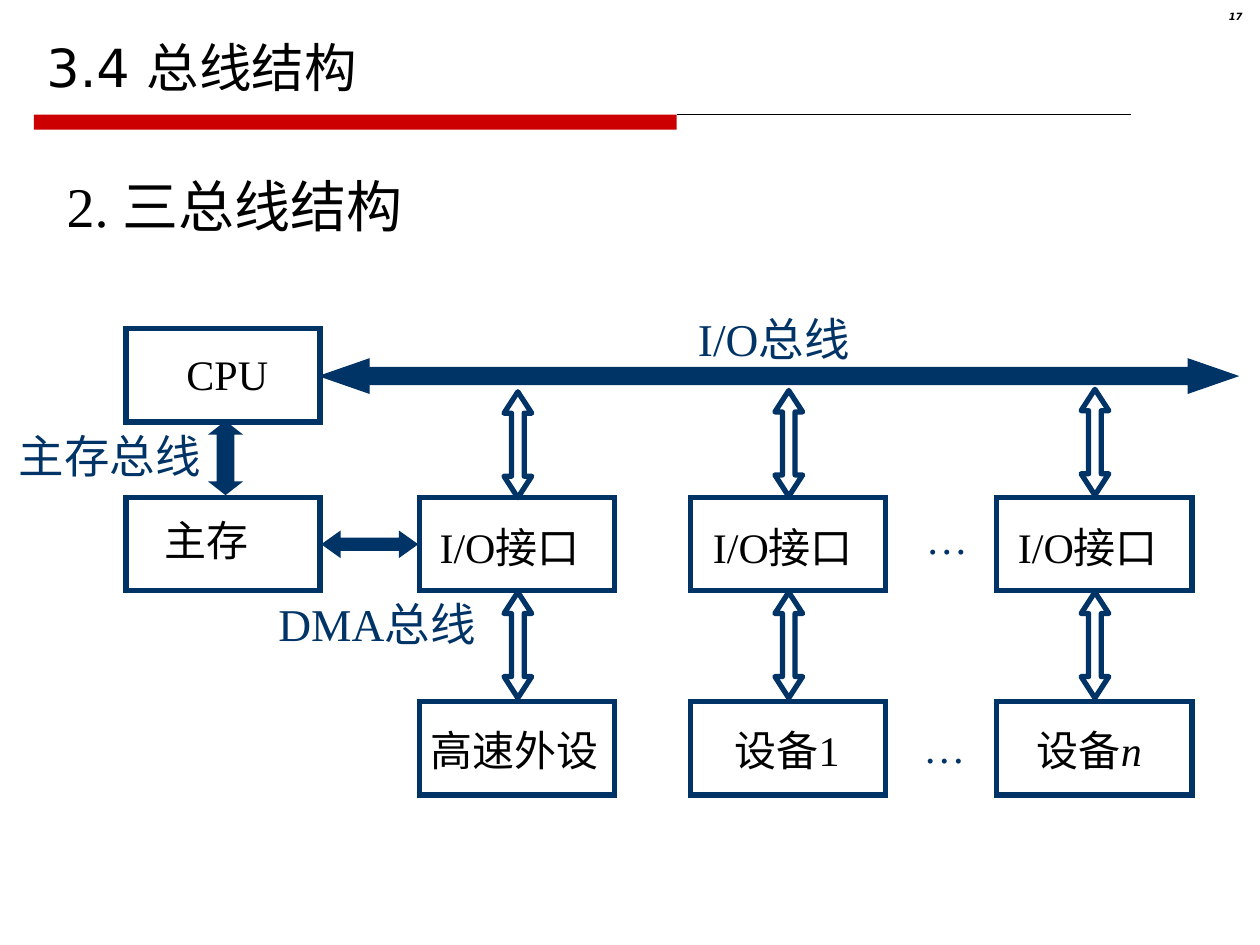
from pptx import Presentation
from pptx.dml.color import RGBColor
from pptx.enum.shapes import MSO_CONNECTOR, MSO_SHAPE as Shape
from pptx.enum.text import MSO_ANCHOR as Anchor, PP_ALIGN as Align
from pptx.oxml.ns import qn
from pptx.util import Inches, Pt
from lxml import etree

NAVY = RGBColor(0x00, 0x33, 0x66)
RED = RGBColor(0xCC, 0x00, 0x00)
BLACK = RGBColor(0x00, 0x00, 0x00)
SERIF = "Times New Roman"
SANS = "DejaVu Sans"
CABIN = "Cabin"

deck = Presentation()
deck.slide_width = Inches(10)
deck.slide_height = Inches(7.5)
page = deck.slides.add_slide(deck.slide_layouts[6])


def add_text(left, top, width, height, spans, size, color=BLACK, inset=True, wrap=True):
    box = page.shapes.add_textbox(Inches(left), Inches(top), Inches(width), Inches(height))
    frame = box.text_frame
    frame.word_wrap = wrap
    frame.margin_left = frame.margin_right = Inches(0.1 if inset else 0)
    frame.margin_top = frame.margin_bottom = Inches(0.05 if inset else 0)
    for text, font in spans:
        span = frame.paragraphs[0].add_run()
        span.text = text
        span.font.size = Pt(size)
        span.font.name = font
        span.font.color.rgb = color
    return frame


def add_block(kind, left, top, width, height, fill=None, line=None, weight=3, adjust=()):
    block = page.shapes.add_shape(kind, Inches(left), Inches(top), Inches(width), Inches(height))
    block.shadow.inherit = False
    if fill is None:
        block.fill.background()
    else:
        block.fill.solid()
        block.fill.fore_color.rgb = fill
    if line is None:
        block.line.fill.background()
    else:
        block.line.color.rgb = line
        block.line.width = Pt(weight)
        etree.SubElement(block._element.spPr.find(qn("a:ln")), qn("a:miter"), lim="800000")
    for index, value in enumerate(adjust):
        block.adjustments[index] = value


add_block(Shape.RECTANGLE, 0.27, 0.91, 5.1, 0.12, fill=RED)
rule = page.shapes.add_connector(
    MSO_CONNECTOR.STRAIGHT, Inches(5.37), Inches(0.91), Inches(8.98), Inches(0.91))
rule.line.color.rgb = BLACK
rule.line.width = Pt(0.75)
etree.SubElement(rule._element.spPr, qn("a:effectLst"))

title = add_text(0.27, 0.12, 9.45, 0.71, [("3.4 总线结构", SANS)], 30)
title.vertical_anchor = Anchor.BOTTOM

number = add_text(9.37, 0.05, 0.59, 0.23, [("17", SANS)], 5.7)
para = number.paragraphs[0]
para.alignment = Align.RIGHT
para.line_spacing = 0.8
para.runs[0].font.bold = True
para.runs[0].font.italic = True

add_text(0.43, 1.31, 8.5, 0.75, [("2. 三总线结构", SERIF)], 32)

add_text(0.15, 3.4, 1.45, 0.43, [("主存总线", CABIN)], 26, NAVY, inset=False, wrap=False)
add_text(2.21, 4.73, 1.9, 0.43, [("DMA", SERIF), ("总线", CABIN)], 26, NAVY, inset=False)
add_text(5.44, 2.42, 1.49, 0.54, [("I/O总线", SERIF)], 26, NAVY, wrap=False)

add_block(Shape.LEFT_RIGHT_ARROW, 2.55, 4.21, 0.77, 0.22, fill=NAVY, adjust=(0.48, 0.7))
add_block(Shape.LEFT_RIGHT_ARROW, 2.54, 2.85, 7.28, 0.27, fill=NAVY, line=NAVY,
          weight=0.75, adjust=(0.5, 1.44))

for top in (2.61, 3.95):
    add_block(Shape.RECTANGLE, 1, top, 1.54, 0.74, line=NAVY)
add_text(1.48, 2.77, 1.02, 0.4, [("CPU", SERIF)], 24, inset=False)
add_text(1.31, 4.08, 1.2, 0.4, [("主存", CABIN)], 24, inset=False)

columns = [
    (3.33, 3.11, 3.39, 3.42, [("高速外设", CABIN)]),
    (5.48, 3.1, 5.56, 5.83, [("设备", CABIN), ("1", SERIF)]),
    (7.91, 3.09, 7.98, 8.23, [("设备", CABIN), ("n", SERIF)]),
]
vertical_arrows = [(1.79, 3.34, 0.59, 0.14, 0.07, 0.11, True)]
for left, arrow_top, port_left, device_left, device in columns:
    for top in (3.95, 5.57):
        add_block(Shape.RECTANGLE, left, top, 1.55, 0.74, line=NAVY)
    for top in (arrow_top, 4.7):
        vertical_arrows.append((left + 0.78, top, 0.84, 0.11, 0.05, 0.17, False))
    add_text(port_left, 4.09, 1.69, 0.5, [("I/O接口", SERIF)], 24)
    label = add_text(device_left, 5.75, 1.4, 0.4, device, 24, inset=False)
label.paragraphs[0].runs[-1].font.italic = True

for center, top, height, half, shaft, head, solid in vertical_arrows:
    bottom = top + height
    right_side = [(half, top + head), (shaft, top + head),
                  (shaft, bottom - head), (half, bottom - head)]
    left_side = [(-offset, y) for offset, y in reversed(right_side)]
    outline = right_side + [(0, bottom)] + left_side
    builder = page.shapes.build_freeform(Inches(center), Inches(top))
    builder.add_line_segments([(Inches(center + offset), Inches(y)) for offset, y in outline])
    arrow = builder.convert_to_shape()
    arrow.shadow.inherit = False
    if solid:
        arrow.fill.solid()
        arrow.fill.fore_color.rgb = NAVY
        arrow.line.fill.background()
    else:
        arrow.fill.background()
        arrow.line.color.rgb = NAVY
        arrow.line.width = Pt(3)

for left, top in ((7.25, 4.02), (7.23, 5.68)):
    add_text(left, top, 0.53, 0.5, [("…", SERIF)], 24, NAVY, wrap=False)

deck.save("out.pptx")
